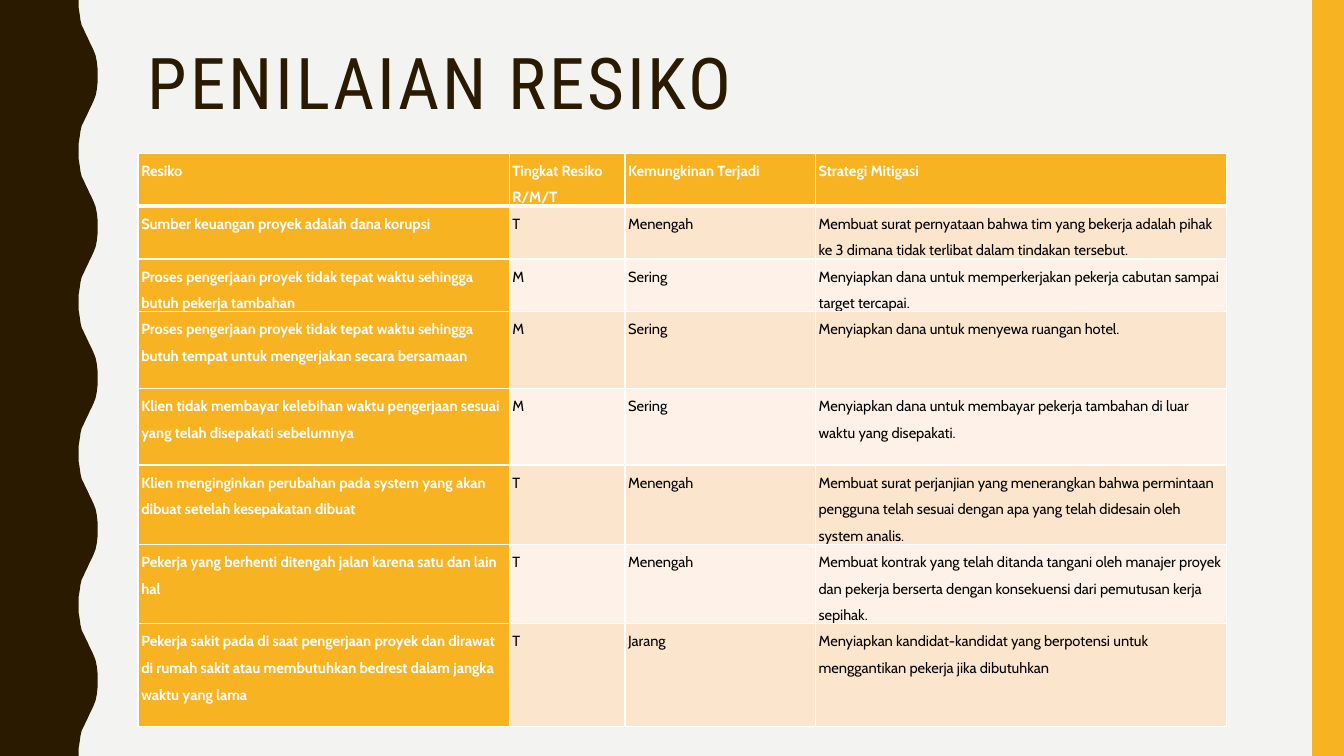
from dataclasses import dataclass

from lxml.etree import SubElement
from pptx import Presentation
from pptx.dml.color import RGBColor
from pptx.enum.shapes import MSO_SHAPE
from pptx.enum.text import MSO_ANCHOR
from pptx.oxml.ns import qn
from pptx.util import Cm, Pt


@dataclass(frozen=True)
class Theme:
    background: str = "F3F3F2"
    dark: str = "2A1A00"
    accent: str = "F8B323"
    light: str = "FFFFFF"
    text: str = "000000"
    bands: tuple = ("FCE5CD", "FEF2E8")
    title_font: str = "Roboto Condensed"
    body_font: str = "Cabin"
    title_size: float = 51
    body_size: float = 10.5


WIDTH, HEIGHT = 33.87, 19.05
WAVE_COUNT = 5
WAVE_PERIOD = HEIGHT / WAVE_COUNT
HALF_WAVE = [
    (1.98, 0), (1.98, 0.18), (2.01, 0.36), (2.03, 0.51), (2.06, 0.64),
    (2.11, 0.74), (2.16, 0.85), (2.21, 0.95), (2.26, 1.06), (2.31, 1.16),
    (2.36, 1.27), (2.41, 1.4), (2.44, 1.55), (2.46, 1.73), (2.46, 1.9),
]
COLUMNS = [9.35, 2.92, 4.8, 10.36]
ROWS = [1.27, 1.32, 1.27, 1.93, 1.93, 1.93, 1.93, 2.59]
RISKS = [
    ("Resiko", "Tingkat Resiko R/M/T", "Kemungkinan Terjadi", "Strategi Mitigasi"),
    ("Sumber keuangan proyek adalah dana korupsi", "T", "Menengah",
     "Membuat surat pernyataan bahwa tim yang bekerja adalah pihak ke 3 dimana "
     "tidak terlibat dalam tindakan tersebut."),
    ("Proses pengerjaan proyek tidak tepat waktu sehingga butuh pekerja tambahan",
     "M", "Sering",
     "Menyiapkan dana untuk memperkerjakan pekerja cabutan sampai target tercapai."),
    ("Proses pengerjaan proyek tidak tepat waktu sehingga butuh tempat untuk "
     "mengerjakan secara bersamaan", "M", "Sering",
     "Menyiapkan dana untuk menyewa ruangan hotel."),
    ("Klien tidak membayar kelebihan waktu pengerjaan sesuai yang telah "
     "disepakati sebelumnya", "M", "Sering",
     "Menyiapkan dana untuk membayar pekerja tambahan di luar waktu yang disepakati."),
    ("Klien menginginkan perubahan pada system yang akan dibuat setelah "
     "kesepakatan dibuat", "T", "Menengah",
     "Membuat surat perjanjian yang menerangkan bahwa permintaan pengguna telah "
     "sesuai dengan apa yang telah didesain oleh system analis."),
    ("Pekerja yang berhenti ditengah jalan karena satu dan lain hal",
     "T", "Menengah",
     "Membuat kontrak yang telah ditanda tangani oleh manajer proyek dan pekerja "
     "berserta dengan konsekuensi dari pemutusan kerja sepihak."),
    ("Pekerja sakit pada di saat pengerjaan proyek dan dirawat di rumah sakit "
     "atau membutuhkan bedrest dalam jangka waktu yang lama", "T", "Jarang",
     "Menyiapkan kandidat-kandidat yang berpotensi untuk menggantikan pekerja "
     "jika dibutuhkan"),
]


class SlideBuilder:
    def __init__(self, s, theme):
        self.s = s
        self.theme = theme
        fill = s.background.fill
        fill.solid()
        fill.fore_color.rgb = RGBColor.from_string(theme.background)

    def paint(self, sp, color):
        sp.fill.solid()
        sp.fill.fore_color.rgb = RGBColor.from_string(color)
        sp.line.fill.background()
        sp.shadow.inherit = False

    def style(self, p, font, size, color, spacing, bold=False):
        p.line_spacing = spacing
        p.font.name = font
        p.font.size = Pt(size)
        p.font.bold = bold
        p.font.color.rgb = RGBColor.from_string(color)

    def wavy_band(self):
        mirrored = [(x, WAVE_PERIOD - y) for x, y in HALF_WAVE[-2:0:-1]]
        edge = [(x, y + i * WAVE_PERIOD)
                for i in range(WAVE_COUNT) for x, y in HALF_WAVE + mirrored]
        outline = edge + [(HALF_WAVE[0][0], HEIGHT), (0, HEIGHT)]
        builder = self.s.shapes.build_freeform(0, 0)
        builder.add_line_segments([(Cm(x), Cm(y)) for x, y in outline])
        self.paint(builder.convert_to_shape(), self.theme.dark)

    def bar(self, x, y, w, h):
        sp = self.s.shapes.add_shape(MSO_SHAPE.RECTANGLE, Cm(x), Cm(y), Cm(w), Cm(h))
        self.paint(sp, self.theme.accent)

    def title(self, text, x, y, w, h):
        tf = self.s.shapes.add_textbox(Cm(x), Cm(y), Cm(w), Cm(h)).text_frame
        tf.word_wrap = True
        tf.vertical_anchor = MSO_ANCHOR.TOP
        p = tf.paragraphs[0]
        r = p.add_run()
        r.text = text
        r.font._element.set("spc", "200")
        self.style(p, self.theme.title_font, self.theme.title_size, self.theme.dark, 0.9)

    def borders(self, cell, bottom):
        tc_pr = cell._tc.get_or_add_tcPr()
        for side, width in (("L", 1), ("R", 1), ("T", 1), ("B", bottom)):
            ln = SubElement(tc_pr, qn(f"a:ln{side}"), w=str(Pt(width)))
            fill = SubElement(ln, qn("a:solidFill"))
            SubElement(fill, qn("a:srgbClr"), val=self.theme.light)

    def cell(self, cell, text, row, column):
        strong = row == 0 or column == 0
        cell.margin_left = cell.margin_right = Cm(0.08)
        cell.margin_top = cell.margin_bottom = 0
        cell.text = text
        self.style(cell.text_frame.paragraphs[0], self.theme.body_font,
                   self.theme.body_size,
                   self.theme.light if strong else self.theme.text, 1.5, strong)
        self.borders(cell, 3 if row == 0 else 1)
        color = self.theme.accent if strong else self.theme.bands[(row - 1) % 2]
        cell.fill.solid()
        cell.fill.fore_color.rgb = RGBColor.from_string(color)

    def table(self, data, x, y, widths, heights):
        table = self.s.shapes.add_table(
            len(heights), len(widths), Cm(x), Cm(y),
            Cm(sum(widths)), Cm(sum(heights))).table
        for column, width in zip(table.columns, widths):
            column.width = Cm(width)
        for row, height in zip(table.rows, heights):
            row.height = Cm(height)
        for i, values in enumerate(data):
            for j, text in enumerate(values):
                self.cell(table.cell(i, j), text, i, j)


def main():
    prs = Presentation()
    prs.slide_width, prs.slide_height = Cm(WIDTH), Cm(HEIGHT)
    s = prs.slides.add_slide(prs.slide_layouts[6])
    slide = SlideBuilder(s, Theme())
    slide.wavy_band()
    slide.bar(33.07, 0, 0.8, HEIGHT)
    slide.title("PENILAIAN RESIKO", 3.48, 1.07, 28.27, 4.14)
    slide.table(RISKS, 3.48, 3.86, COLUMNS, ROWS)
    prs.save("out.pptx")


if __name__ == "__main__":
    main()
